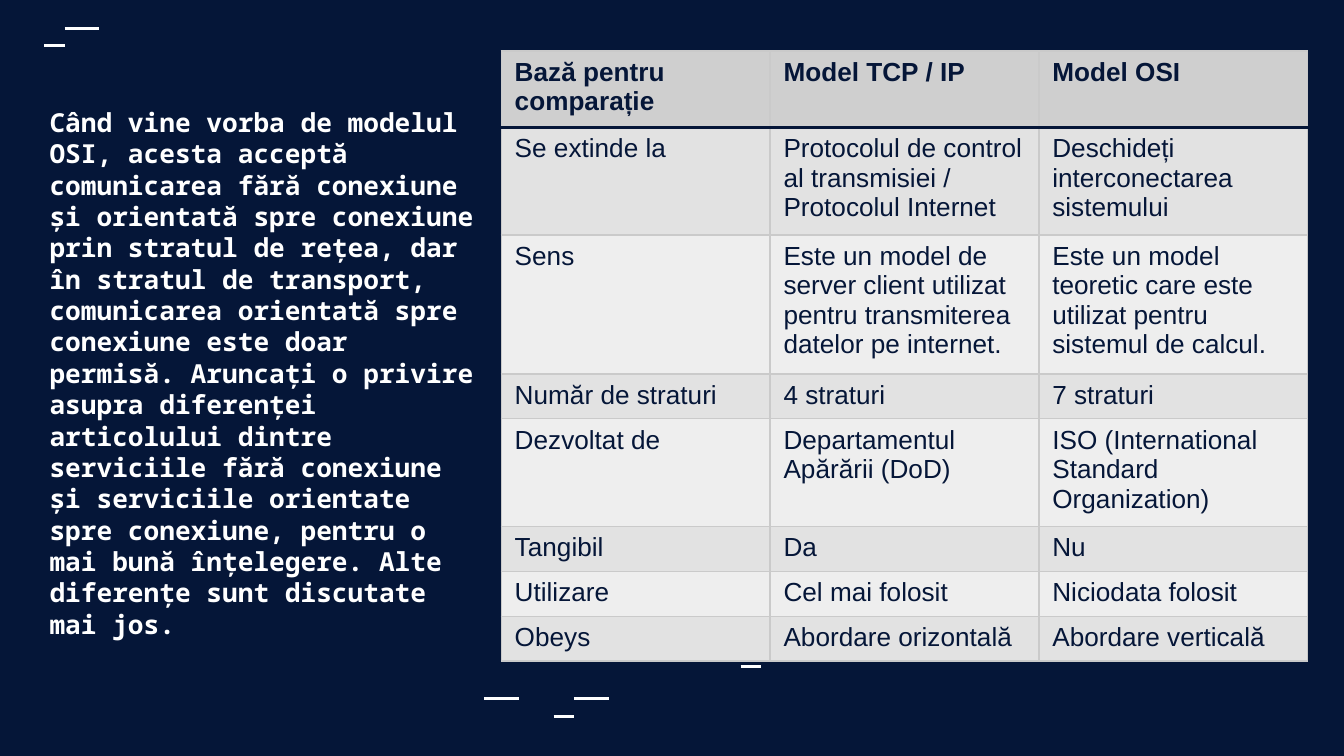
from lxml import etree
from pptx import Presentation
from pptx.dml.color import RGBColor
from pptx.enum.shapes import MSO_CONNECTOR
from pptx.oxml.ns import qn
from pptx.util import Inches, Pt

NAVY = RGBColor(0x05, 0x16, 0x38)
WHITE = RGBColor(0xFF, 0xFF, 0xFF)
HEAD = RGBColor(0xCF, 0xCF, 0xCF)
BAND = RGBColor(0xE2, 0xE2, 0xE2)
PALE = RGBColor(0xEE, 0xEE, 0xEE)
EDGE = RGBColor(0xCA, 0xCA, 0xCA)
STRAIGHT = MSO_CONNECTOR.STRAIGHT
BLANK = 6

WIDTH = 10
LONG, SHORT = 0.26, 0.15
DASHES = [
    (3.6, 5.2, LONG), (4.27, 5.2, LONG), (4.12, 5.33, SHORT),
    (5.51, 4.96, SHORT), (0.48, 0.21, LONG), (0.33, 0.34, SHORT),
]
INTRO = (
    "Când vine vorba de modelul OSI, acesta acceptă comunicarea fără conexiune "
    "și orientată spre conexiune prin stratul de rețea, dar în stratul de "
    "transport, comunicarea orientată spre conexiune este doar permisă. "
    "Aruncați o privire asupra diferenței articolului dintre serviciile fără "
    "conexiune și serviciile orientate spre conexiune, pentru o mai bună "
    "înțelegere. Alte diferențe sunt discutate mai jos."
)
ROWS = [
    ("Bază pentru comparație", "Model TCP / IP", "Model OSI"),
    ("Se extinde la",
     "Protocolul de control al transmisiei / Protocolul Internet",
     "Deschideți interconectarea sistemului"),
    ("Sens",
     "Este un model de server client utilizat pentru transmiterea datelor "
     "pe internet.",
     "Este un model teoretic care este utilizat pentru sistemul de calcul."),
    ("Număr de straturi", "4 straturi", "7 straturi"),
    ("Dezvoltat de", "Departamentul Apărării (DoD)",
     "ISO (International Standard Organization)"),
    ("Tangibil", "Da", "Nu"),
    ("Utilizare", "Cel mai folosit", "Niciodata folosit"),
    ("Obeys", "Abordare orizontală", "Abordare verticală"),
]
HEIGHTS = [0.47, 0.67, 0.86, 0.28, 0.47, 0.28, 0.28, 0.28]


class Deck:
    def __init__(self):
        self.prs = Presentation()
        self.prs.slide_width = Inches(WIDTH)
        self.prs.slide_height = Inches(WIDTH * 9 / 16)
        self.slide = self.prs.slides.add_slide(self.prs.slide_layouts[BLANK])
        fill = self.slide.background.fill
        fill.solid()
        fill.fore_color.rgb = NAVY

    def font(self, para, name, color, bold):
        para.font.name = name
        para.font.size = Pt(14)
        para.font.bold = bold
        para.font.color.rgb = color

    def dash(self, left, top, width):
        x, y = Inches(left), Inches(top)
        line = self.slide.shapes.add_connector(
            STRAIGHT, x, y, x + Inches(width), y)
        line.line.color.rgb = WHITE
        line.line.width = Pt(1.5)
        etree.SubElement(line._element.spPr, qn("a:effectLst"))

    def text(self, words, *box):
        frame = self.slide.shapes.add_textbox(*map(Inches, box)).text_frame
        frame.word_wrap = True
        frame.margin_left = frame.margin_right = Inches(0.1)
        frame.margin_top = frame.margin_bottom = Inches(0.1)
        frame.text = words
        self.font(frame.paragraphs[0], "Noto Sans Mono", WHITE, True)

    def border(self, cell, side, color, width):
        """Draw one cell edge; call before the fill is set."""
        edge = etree.SubElement(
            cell._tc.get_or_add_tcPr(), qn("a:ln" + side), w=str(Pt(width)))
        solid = etree.SubElement(edge, qn("a:solidFill"))
        etree.SubElement(solid, qn("a:srgbClr"), val=str(color))

    def table(self, rows, heights, *box):
        """Fill a table whose rows grow to fit their text."""
        shape = self.slide.shapes.add_table(
            len(rows), len(rows[0]), *map(Inches, box))
        grid = shape.table
        for r, row in enumerate(rows):
            grid.rows[r].height = Inches(heights[r])
            shade = HEAD if r == 0 else BAND if r % 2 else PALE
            for c, words in enumerate(row):
                cell = grid.cell(r, c)
                for side in "LRTB":
                    rule = (side == "B" and r == 0) or (side == "T" and r == 1)
                    self.border(cell, side, *((NAVY, 2) if rule else (EDGE, 0.75)))
                cell.fill.solid()
                cell.fill.fore_color.rgb = shade
                cell.text = words
                self.font(cell.text_frame.paragraphs[0], "Arial", NAVY, r == 0)
        shape.height = Inches(box[-1])


def main():
    deck = Deck()
    for dash in DASHES:
        deck.dash(*dash)
    deck.text(INTRO, 0.27, 0.69, 3.41, 4.66)
    deck.table(ROWS, HEIGHTS, 3.73, 0.38, 6, 4.53)
    deck.prs.save("out.pptx")


if __name__ == "__main__":
    main()
